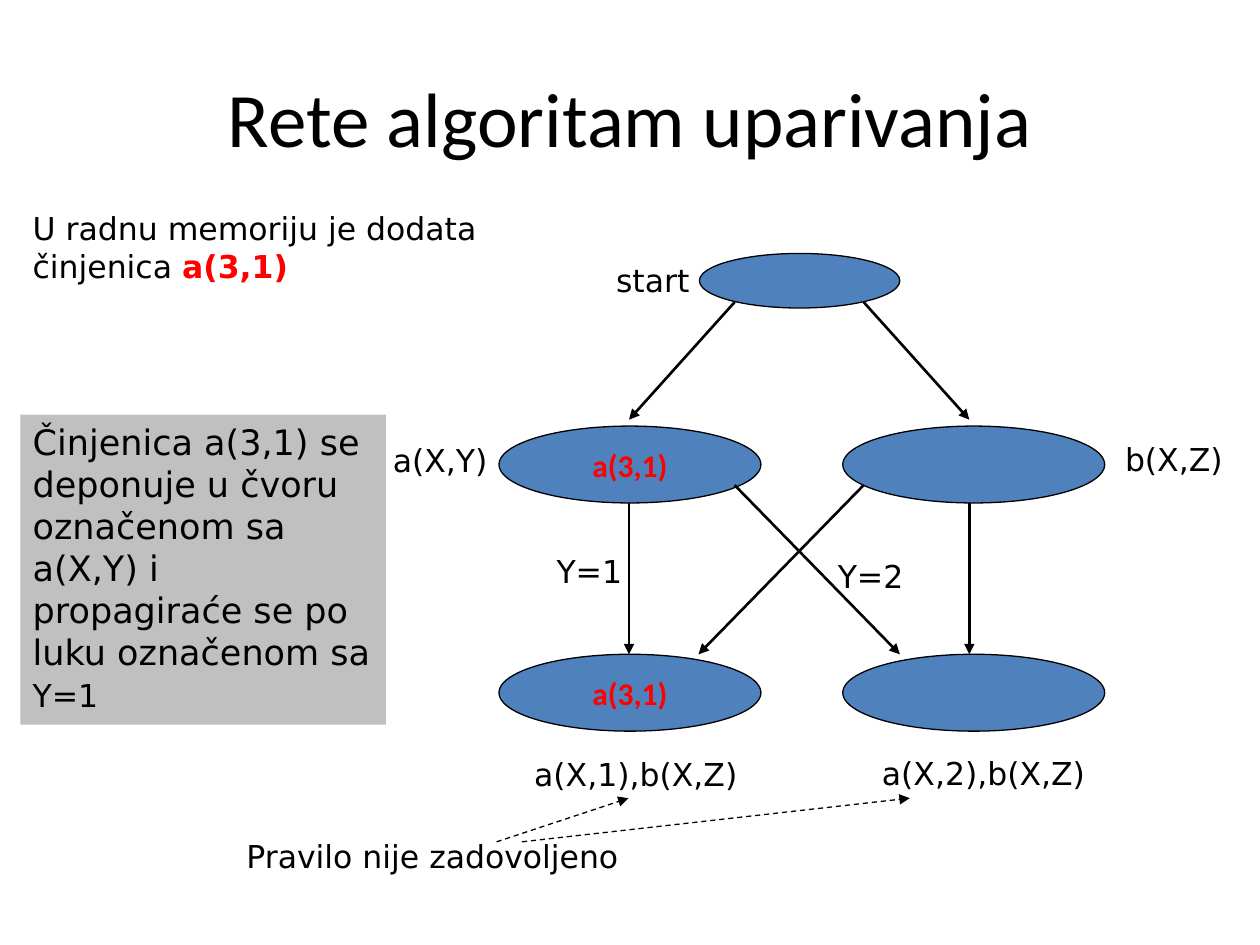
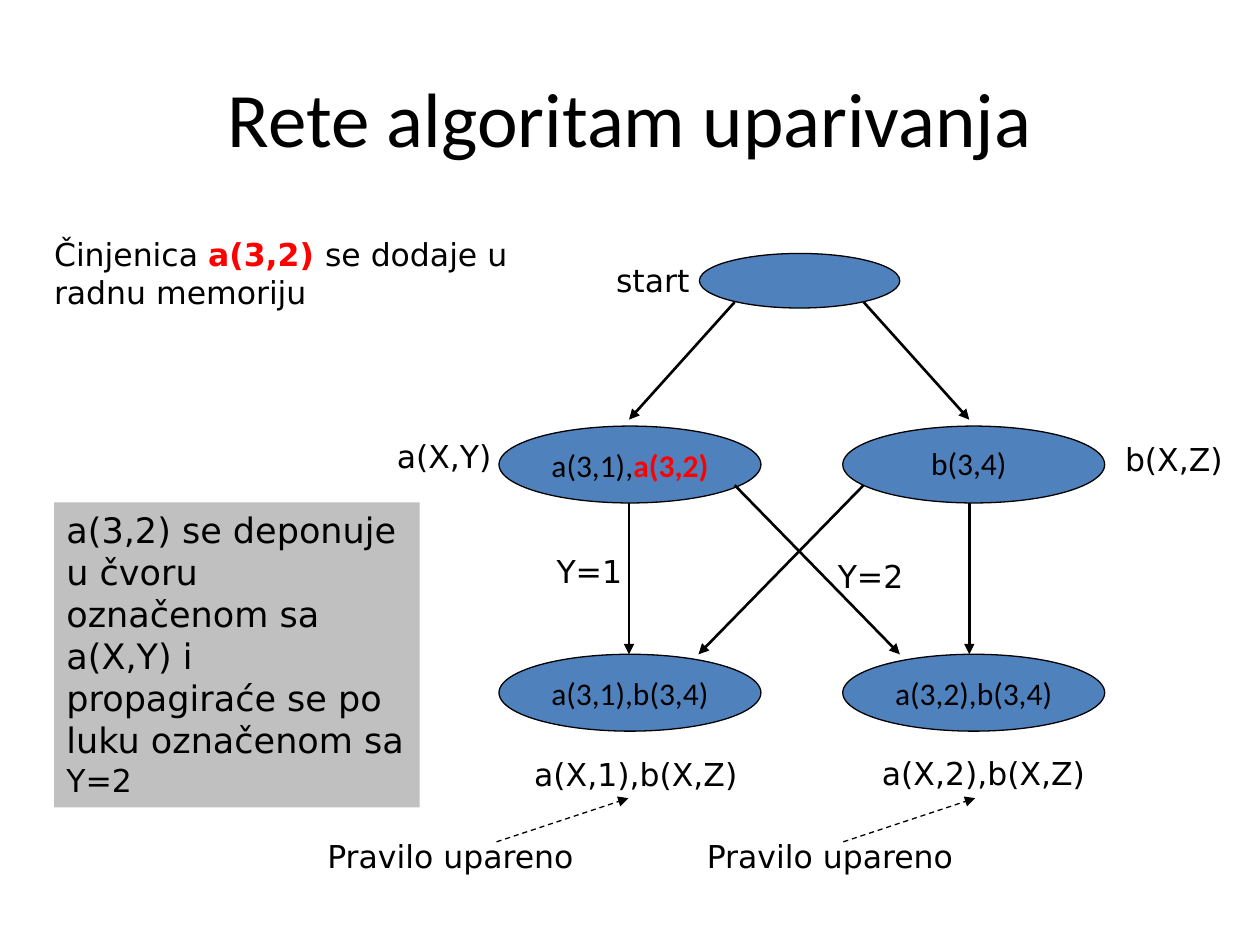
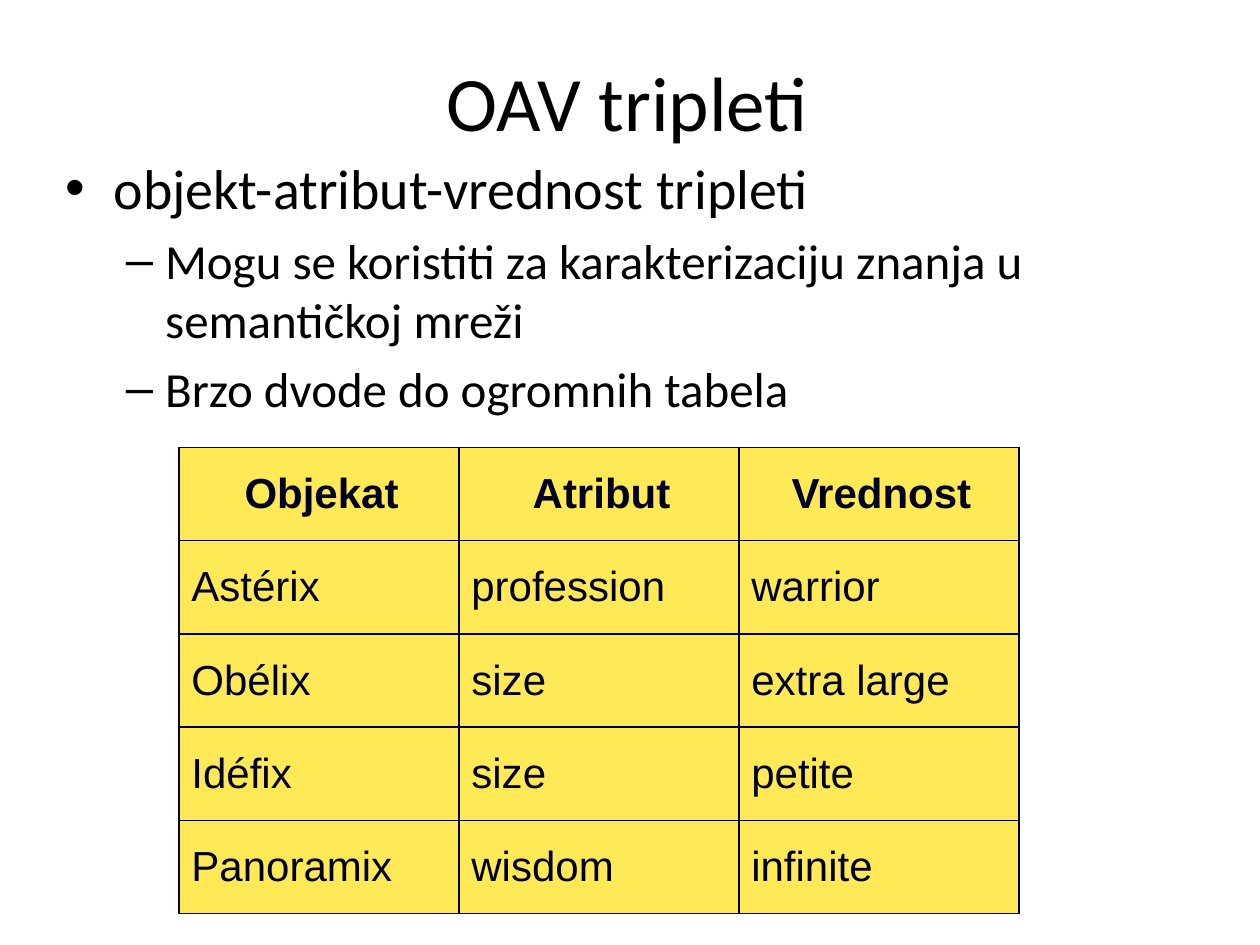
from collections import namedtuple
from pptx import Presentation
from pptx.dml.color import RGBColor
from pptx.enum.dml import MSO_LINE
from pptx.enum.shapes import MSO_CONNECTOR, MSO_SHAPE
from pptx.enum.text import MSO_ANCHOR as Anchor, PP_ALIGN as Align
from pptx.oxml.ns import qn
from pptx.util import Cm, Pt
from lxml.etree import SubElement

Box = namedtuple("Box", "left top width height")
Run = namedtuple("Run", "text size color bold", defaults=(None, None, None))

BLACK, RED, NAVY = "000000", "FF0000", "000020"
NODE_BLUE, NOTE_GRAY, TABLE_YELLOW = "4F81BD", "C0C0C0", "FFE957"
HEADING_FONT, LABEL_FONT, TABLE_FONT = "Calibri", "DejaVu Sans", "Arial"
TITLE_ONLY = 5
LABEL_HEIGHT = 1.02

NETWORK = Box(10.06, 5.11, 12.2, 9.63)
NODE_WIDTH, NODE_HEIGHT = 5.28, 1.55
ROOT_WIDTH, ROOT_HEIGHT = 4.04, 1.1
COLUMNS = (0, 6.93)
ROWS = (3.48, 8.08)
MIRROR = 12.1
LEFT_ARROWS = [
    ((4.75, 0.98), (2.62, 3.35)),
    ((2.62, 5.03), (2.62, 8.08)),
    ((4.75, 4.67), (8.08, 8.08)),
]
NETWORK_LABELS = [
    ("start", 2.11, 0.03, 2.01),
    ("b(X,Z)", 12.37, 3.63, 2.62),
    ("Y=1", 0.91, 5.89, 1.85),
    ("Y=2", 6.58, 5.99, 1.85),
    ("a(X,1),b(X,Z)", 0.46, 9.98, 4.88),
    ("a(X,2),b(X,Z)", 7.47, 9.96, 4.88),
]


def rgb(color):
    return RGBColor.from_string(color)


def place(box):
    return [Cm(length) for length in box]


def set_font(font, name, size, color, bold=False):
    font.name, font.size, font.bold = name, Pt(size), bold
    font.color.rgb = rgb(color)


def write(paragraph, runs, name, size, color=BLACK, bold=False):
    set_font(paragraph.font, name, size, color, bold)
    for part in runs:
        run = paragraph.add_run()
        run.text = part.text
        if part.size:
            run.font.size = Pt(part.size)
        if part.color:
            run.font.color.rgb = rgb(part.color)
        if part.bold:
            run.font.bold = True


def add_titled_slide(presentation, text, top, right_inset=0.25):
    slide = presentation.slides.add_slide(presentation.slide_layouts[TITLE_ONLY])
    title = slide.shapes.title
    title.left, title.top, title.width, title.height = place(Box(1.27, top, 22.86, 3.18))
    frame = title.text_frame
    frame.vertical_anchor = Anchor.MIDDLE
    frame.margin_right = Cm(right_inset)
    paragraph = frame.paragraphs[0]
    paragraph.alignment = Align.CENTER
    write(paragraph, [Run(text)], HEADING_FONT, 44)
    return slide


def add_text(slide, box, paragraphs, wrap=False, font=LABEL_FONT):
    frame = slide.shapes.add_textbox(*place(box)).text_frame
    frame.word_wrap = wrap
    for index, runs in enumerate(paragraphs):
        paragraph = frame.add_paragraph() if index else frame.paragraphs[0]
        write(paragraph, runs, font, 18)


def add_label(slide, text, left, top, width, font=LABEL_FONT):
    add_text(slide, Box(left, top, width, LABEL_HEIGHT), [[Run(text)]], font=font)


def add_arrow(slide, start, end, width=1.5, dashed=False):
    arrow = slide.shapes.add_connector(MSO_CONNECTOR.STRAIGHT, *place(start + end))
    arrow.line.color.rgb = rgb(BLACK)
    arrow.line.width = Pt(width)
    if dashed:
        arrow.line.dash_style = MSO_LINE.DASH
    SubElement(arrow.line._get_or_add_ln(), qn("a:tailEnd"), type="triangle")
    SubElement(arrow._element.spPr, qn("a:effectLst"))


def add_node(slide, box, runs=()):
    node = slide.shapes.add_shape(MSO_SHAPE.OVAL, *place(box))
    node.shadow.inherit = False
    node.fill.solid()
    node.fill.fore_color.rgb = rgb(NODE_BLUE)
    node.line.color.rgb = rgb(BLACK)
    node.line.width = Pt(0.75)
    if runs:
        frame = node.text_frame
        frame.word_wrap = False
        frame.vertical_anchor = Anchor.MIDDLE
        frame.paragraphs[0].alignment = Align.CENTER
        write(frame.paragraphs[0], runs, HEADING_FONT, 18)


def add_network(slide, box, node_texts, left_label):
    def shift(point):
        return box.left + point[0], box.top + point[1]

    add_node(slide, Box(*shift((ROOT_WIDTH, 0)), ROOT_WIDTH, ROOT_HEIGHT))
    cells = [(column, row) for row in ROWS for column in COLUMNS]
    for cell, runs in zip(cells, node_texts):
        add_node(slide, Box(*shift(cell), NODE_WIDTH, NODE_HEIGHT), runs)
    for ends in LEFT_ARROWS:
        add_arrow(slide, *[shift(end) for end in ends])
        add_arrow(slide, *[shift((MIRROR - x, y)) for x, y in ends])
    for text, left, top, width in NETWORK_LABELS + [("a(X,Y)", *left_label, 2.54)]:
        add_label(slide, text, *shift((left, top)), width)


def add_note(slide, box, runs):
    note = slide.shapes.add_shape(MSO_SHAPE.RECTANGLE, *place(box))
    note.shadow.inherit = False
    note.fill.solid()
    note.fill.fore_color.rgb = rgb(NOTE_GRAY)
    note.line.fill.background()
    frame = note.text_frame
    frame.word_wrap = True
    frame.vertical_anchor = Anchor.TOP
    frame.paragraphs[0].alignment = Align.LEFT
    write(frame.paragraphs[0], runs, LABEL_FONT, 20)


def add_verdict(slide, text, left, width, arrows):
    add_label(slide, text, left, 16.74, width)
    for start, end in arrows:
        add_arrow(slide, (start, 16.97), (end, 16.09), 0.75, True)


def add_rete_slide(presentation, node_texts, left_label):
    slide = add_titled_slide(presentation, "Rete algoritam uparivanja", 0.76)
    add_network(slide, NETWORK, node_texts, left_label)
    return slide


def build_first_fact(presentation):
    fact = Run("a(3,1)", color=RED, bold=True)
    slide = add_rete_slide(presentation, [[fact], [], [fact], []], (-2.39, 3.66))
    add_text(slide, Box(0.41, 4.09, 9.88, 1.8),
             [[Run("U radnu memoriju je dodata")], [Run("činjenica "), fact]])
    add_note(slide, Box(0.41, 8.36, 7.37, 6.25), [
        Run("Činjenica a(3,1) se deponuje u čvoru označenom sa a(X,Y) i "
            "propagiraće se po luku označenom sa "),
        Run("Y=1", size=18), Run(" ")])
    add_verdict(slide, "Pravilo nije zadovoljeno", 4.72, 8.15,
                [(10.01, 12.67), (10.52, 18.34)])


def build_second_fact(presentation):
    node_texts = [
        [Run("a(3,1),"), Run("a(3,2)", color=RED, bold=True)],
        [],
        [Run("a(3,1),b(3,4)")],
        [Run("a(3,2),b(3,4)")],
    ]
    slide = add_rete_slide(presentation, node_texts, (-2.31, 3.58))
    add_label(slide, "b(3,4)", NETWORK.left + 8.46, NETWORK.top + 3.71, 2.06, HEADING_FONT)
    add_text(slide, Box(0.84, 4.62, 10.34, 1.8),
             [[Run("Činjenica "), Run("a(3,2) ", color=RED, bold=True),
               Run("se dodaje u radnu memoriju")]], wrap=True)
    add_note(slide, Box(1.09, 10.13, 7.37, 6.15), [
        Run("a(3,2) se deponuje u čvoru označenom sa a(X,Y) i "
            "propagiraće se po luku označenom sa "),
        Run("Y=2", size=18)])
    for left, start in ((6.35, 10.01), (14, 17)):
        add_verdict(slide, "Pravilo upareno", left, 5.54, [(start, start + 2.66)])


def add_bullets(slide, box, items):
    styles = [("•", 32, 0.97, 0.97), ("–", 28, 2.01, 0.79)]
    frame = slide.shapes.add_textbox(*place(box)).text_frame
    frame.word_wrap = True
    frame.margin_right = Cm(0.36)
    for index, (level, text) in enumerate(items):
        mark, size, margin, hanging = styles[level]
        paragraph = frame.add_paragraph() if index else frame.paragraphs[0]
        paragraph.level = level
        paragraph.space_before = Pt(size * 0.2)
        properties = paragraph._p.get_or_add_pPr()
        properties.set("marL", str(Cm(margin)))
        properties.set("indent", str(-Cm(hanging)))
        SubElement(properties, qn("a:buFont"), typeface=TABLE_FONT)
        SubElement(properties, qn("a:buChar"), char=mark)
        write(paragraph, [Run(text)], HEADING_FONT, size)


def format_cell(cell, text, is_header):
    properties = cell._tc.get_or_add_tcPr()
    for side in ("lnL", "lnR", "lnT", "lnB"):
        border = SubElement(properties, qn(f"a:{side}"), w=str(Pt(1)))
        fill = SubElement(border, qn("a:solidFill"))
        SubElement(fill, qn("a:srgbClr"), val=NAVY)
    cell.fill.solid()
    cell.fill.fore_color.rgb = rgb(TABLE_YELLOW)
    cell.vertical_anchor = Anchor.MIDDLE
    cell.margin_left = cell.margin_right = cell.margin_top = cell.margin_bottom = Cm(0.15)
    paragraph = cell.text_frame.paragraphs[0]
    paragraph.alignment = Align.CENTER if is_header else Align.LEFT
    paragraph._p.get_or_add_pPr().set("marL", str(Cm(0.1)))
    write(paragraph, [Run(text)], TABLE_FONT, 24, NAVY, is_header)


def add_triplet_table(slide, box, rows):
    table = slide.shapes.add_table(len(rows), len(rows[0]), *place(box)).table
    for row_index, row in enumerate(rows):
        for column_index, text in enumerate(row):
            format_cell(table.cell(row_index, column_index), text, row_index == 0)


def build_triplets(presentation):
    slide = add_titled_slide(presentation, "OAV tripleti", 0.43, 0.36)
    add_bullets(slide, Box(1.07, 2.97, 22.86, 13), [
        (0, "objekt-atribut-vrednost tripleti"),
        (1, "Mogu se koristiti za karakterizaciju znanja u semantičkoj mreži"),
        (1, "Brzo dvode do ogromnih tabela"),
    ])
    add_triplet_table(slide, Box(3.61, 9.02, 16.93, 9.4), [
        ("Objekat", "Atribut", "Vrednost"),
        ("Astérix", "profession", "warrior"),
        ("Obélix", "size", "extra large"),
        ("Idéfix", "size", "petite"),
        ("Panoramix", "wisdom", "infinite"),
    ])


def main():
    presentation = Presentation()
    presentation.slide_width, presentation.slide_height = Cm(25.4), Cm(19.05)
    build_first_fact(presentation)
    build_second_fact(presentation)
    build_triplets(presentation)
    presentation.save("out.pptx")


if __name__ == "__main__":
    main()
